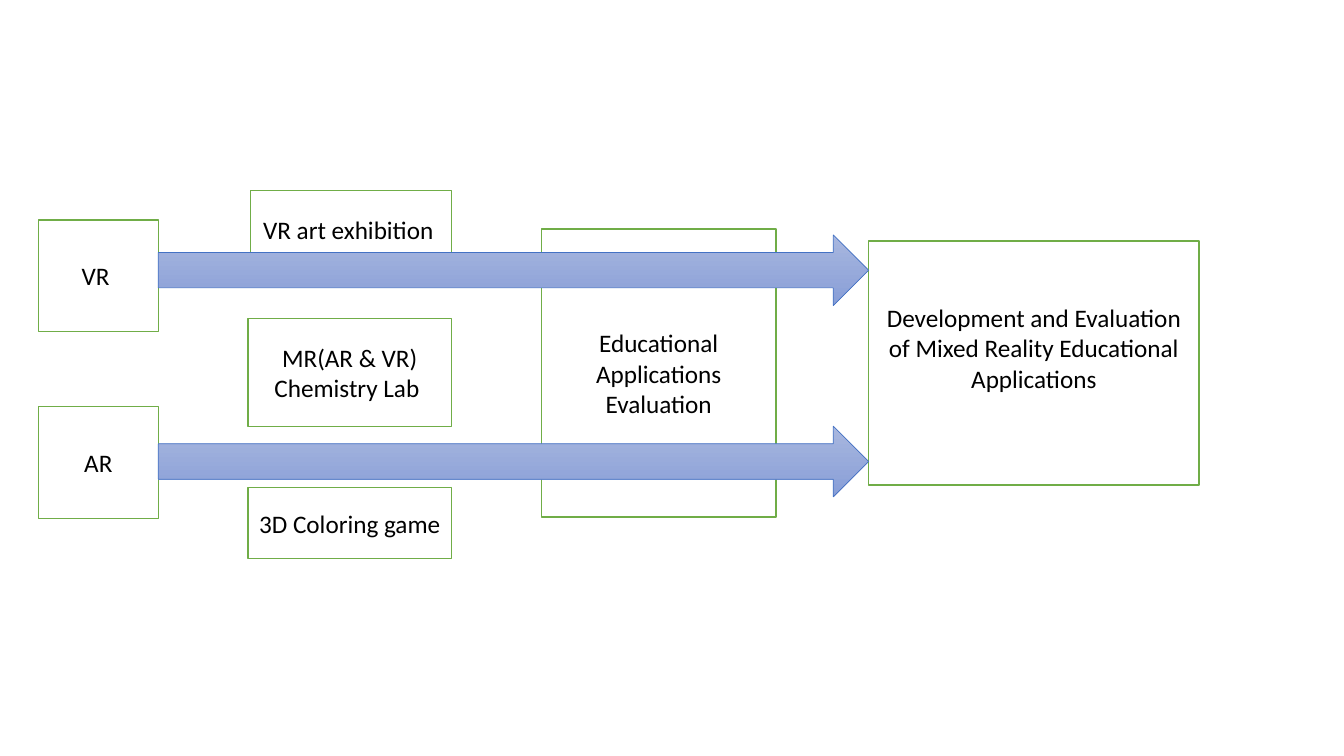
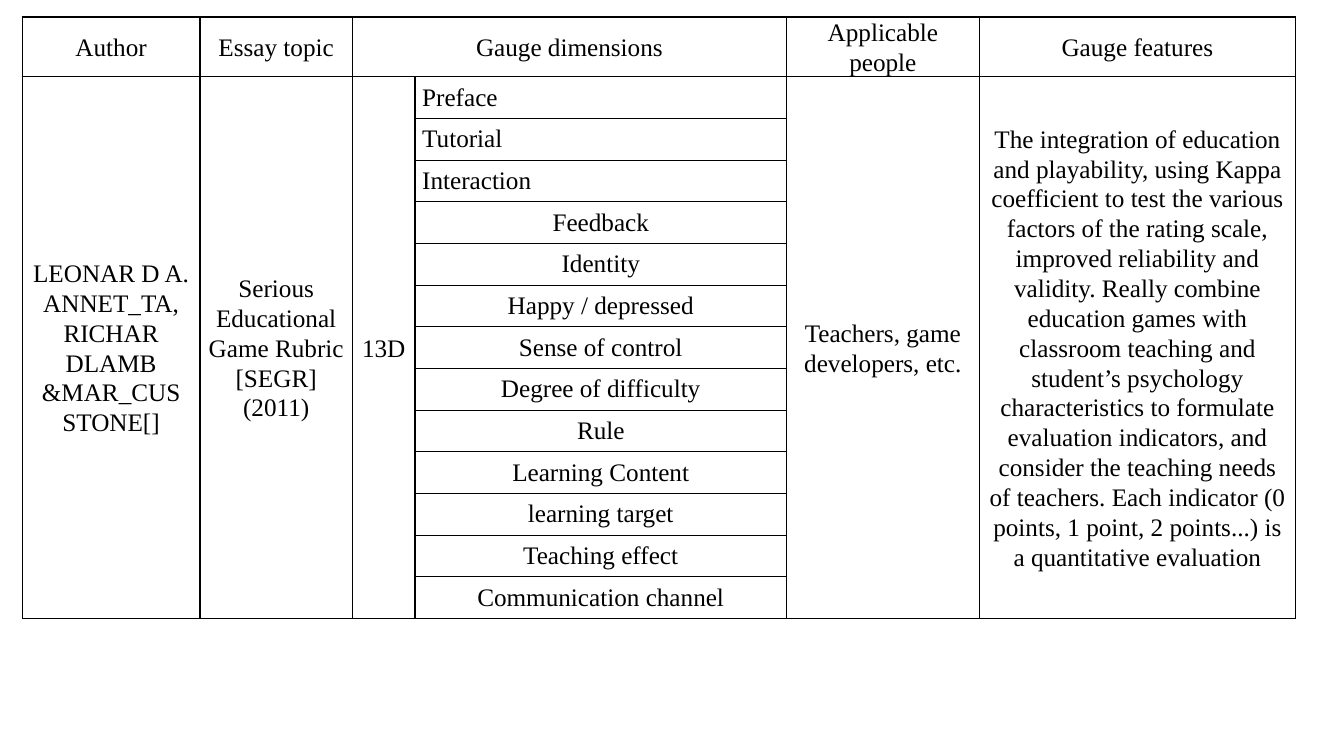
import pptx
import pptx.dml.color
import pptx.enum.shapes
import pptx.enum.text
import pptx.oxml
import pptx.oxml.ns
import pptx.util
from pptx.util import Cm

COLORS = {
    "text": "000000",
    "paper": "FFFFFF",
    "box_line": "70AD47",
    "arrow_line": "4472C4",
    "arrow_top": "A8B7DF",
    "arrow_bottom": "889ED7",
}
TEXT_SIZE = 18
DIAGRAM_FONT = "Calibri"
TABLE_FONT = "Times New Roman"
SHAPES = pptx.enum.shapes.MSO_SHAPE
ALIGN = pptx.enum.text.PP_ALIGN
MIDDLE = pptx.enum.text.MSO_ANCHOR.MIDDLE

HEADERS = {
    0: "Author",
    1: "Essay topic",
    2: "Gauge dimensions",
    4: "Applicable people",
    5: "Gauge features",
}
RUBRIC = {
    0: "LEONAR D A. ANNET_TA, RICHAR DLAMB &MAR_CUS STONE[]",
    1: "Serious Educational Game Rubric [SEGR] (2011)",
    2: "13D",
    4: "Teachers, game developers, etc.",
    5: "The integration of education and playability, using Kappa coefficient "
       "to test the various factors of the rating scale, improved reliability "
       "and validity. Really combine education games with classroom teaching "
       "and student’s psychology characteristics to formulate evaluation "
       "indicators, and consider the teaching needs of teachers. Each "
       "indicator (0 points, 1 point, 2 points...) is a quantitative evaluation",
}
DIMENSIONS = [
    "Preface", "Tutorial", "Interaction", "Feedback", "Identity",
    "Happy / depressed", "Sense of control", "Degree of difficulty", "Rule",
    "Learning Content", "learning target", "Teaching effect",
    "Communication channel",
]
LEFT_ALIGNED = 3
DIMENSION_COLUMN = 3
COLUMN_WIDTHS = [4.48, 3.84, 1.58, 9.36, 4.86, 7.97]
HEADER_HEIGHT = 1.5
ROW_HEIGHT = 1.05


def color(name):
    return pptx.dml.color.RGBColor.from_string(COLORS[name])


def write(frame, text, font, align=ALIGN.CENTER, spacing=None):
    para = frame.paragraphs[0]
    para.alignment = align
    if spacing:
        para.line_spacing = spacing
    span = para.add_run()
    span.text = text
    span.font.name = font
    span.font.size = pptx.util.Pt(TEXT_SIZE)
    span.font.color.rgb = color("text")


def add_outlined(page, kind, bounds, line, width):
    shape = page.shapes.add_shape(kind, *(Cm(value) for value in bounds))
    shape.shadow.inherit = False
    shape.line.color.rgb = color(line)
    shape.line.width = pptx.util.Pt(width)
    return shape


def add_box(page, bounds, text):
    box = add_outlined(page, SHAPES.RECTANGLE, bounds, "box_line", 1)
    box.fill.solid()
    box.fill.fore_color.rgb = color("paper")
    frame = box.text_frame
    frame.word_wrap = True
    frame.vertical_anchor = MIDDLE
    write(frame, text, DIAGRAM_FONT)
    return box


def add_arrow(page, bounds):
    arrow = add_outlined(page, SHAPES.RIGHT_ARROW, bounds, "arrow_line", 0.5)
    arrow.fill.gradient()
    arrow.fill.gradient_angle = 270
    for stop, name in zip(arrow.fill.gradient_stops, ("arrow_top", "arrow_bottom")):
        stop.color.rgb = color(name)


def draw_flow(page, left, top):
    """Two arrows lead from the technologies, past the applications, to the goal."""
    source_width, source_height = 3.02, 2.82
    work_left, work_width = left + 5.28, 5.13
    goal_left = left + 20.92
    arrow_left = left + source_width

    add_box(page, (left + 12.67, top + 0.97, 5.92, 7.26),
            "Educational Applications Evaluation")
    goal = add_box(page, (goal_left, top + 1.27, 8.33, 6.15),
                   "Development and Evaluation of Mixed Reality Educational Applications")
    goal.text_frame.margin_bottom = Cm(0.89)
    for text, offset in (("VR ", 0.74), ("AR", 5.44)):
        add_box(page, (left, top + offset, source_width, source_height), text)
    add_box(page, (work_left + 0.07, top, work_width - 0.07, 1.96),
            "VR art exhibition ")
    add_box(page, (work_left, top + 7.49, work_width, 1.78), "3D Coloring game")
    for offset in (1.12, 5.94):
        add_arrow(page, (arrow_left, top + offset, goal_left - arrow_left, 1.78))
    add_box(page, (work_left, top + 3.23, work_width, 2.72),
            "MR(AR & VR) Chemistry Lab ")


def style_cell(cell):
    """Clear the fill, set tight margins and draw all four borders."""
    cell.vertical_anchor = MIDDLE
    cell.margin_left = cell.margin_right = Cm(0.18)
    cell.margin_top = cell.margin_bottom = 0
    cell.fill.background()
    properties = cell._tc.get_or_add_tcPr()
    for index, side in enumerate(("lnL", "lnR", "lnT", "lnB")):
        properties.insert(index, pptx.oxml.parse_xml(
            f'<a:{side} {pptx.oxml.ns.nsdecls("a")} w="12700"><a:solidFill>'
            f'<a:srgbClr val="{COLORS["text"]}"/></a:solidFill></a:{side}>'))


def draw_rubric_table(page, left, top):
    heights = [HEADER_HEIGHT] + [ROW_HEIGHT] * len(DIMENSIONS)
    last = len(DIMENSIONS)
    table = page.shapes.add_table(
        len(heights), len(COLUMN_WIDTHS), Cm(left), Cm(top),
        Cm(sum(COLUMN_WIDTHS)), Cm(sum(heights))).table
    table.first_row = table.horz_banding = False
    for column, width in zip(table.columns, COLUMN_WIDTHS):
        column.width = Cm(width)
    for row, height in zip(table.rows, heights):
        row.height = Cm(height)
    for cell in table.iter_cells():
        style_cell(cell)

    table.cell(0, 2).merge(table.cell(0, DIMENSION_COLUMN))
    for column in RUBRIC:
        table.cell(1, column).merge(table.cell(last, column))
    for row, texts in enumerate((HEADERS, RUBRIC)):
        for column, text in texts.items():
            write(table.cell(row, column).text_frame, text, TABLE_FONT, spacing=1.07)
    for row, text in enumerate(DIMENSIONS, start=1):
        align = ALIGN.LEFT if row <= LEFT_ALIGNED else ALIGN.CENTER
        write(table.cell(row, DIMENSION_COLUMN).text_frame, text, TABLE_FONT, align)


def main():
    deck = pptx.Presentation()
    deck.slide_width, deck.slide_height = Cm(33.87), Cm(19.05)
    blank = deck.slide_layouts.get_by_name("Blank")
    draw_flow(deck.slides.add_slide(blank), 0.97, 4.8)
    draw_rubric_table(deck.slides.add_slide(blank), 0.56, 0.43)
    deck.save("out.pptx")


if __name__ == "__main__":
    main()
